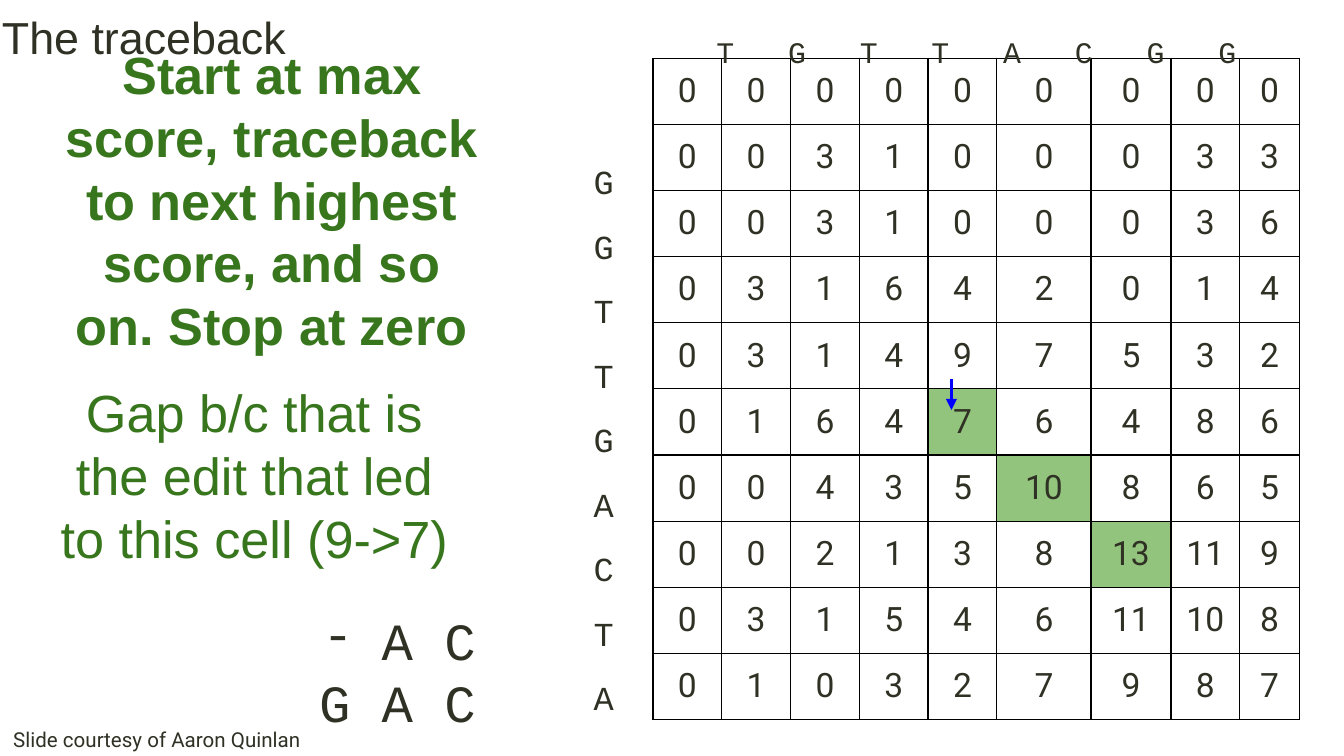
from dataclasses import dataclass
from lxml import etree
from pptx import Presentation
from pptx import util as u
from pptx.dml import color
from pptx.enum import dml, shapes, text
from pptx.oxml import ns


@dataclass
class Theme:
    ink: str = "2F3124"
    green: str = "38761D"
    path_fill: str = "93C47D"
    arrow: str = "0000FF"
    grid: str = "000000"
    sans: str = "Arial"
    mono: str = "Courier New"
    cell: str = "Roboto"
    head: int = 24
    big: int = 28
    mid: int = 18
    base: int = 16
    small: int = 11


def node(parent, tag, **attrs):
    return etree.SubElement(parent, ns.qn("a:" + tag), attrs)


def write(shape, area, lines, font, size, tint, align, pad=0.25, lead=None, bold=False, mid=False):
    shape.left, shape.top, shape.width, shape.height = [u.Cm(n) for n in area]
    frame = shape.text_frame
    frame.word_wrap = True
    frame.auto_size = text.MSO_AUTO_SIZE.NONE
    frame.vertical_anchor = text.MSO_ANCHOR.MIDDLE if mid else text.MSO_ANCHOR.TOP
    frame.margin_left = frame.margin_right = u.Cm(pad)
    frame.margin_top = frame.margin_bottom = u.Cm(min(pad, 0.25))
    for i, line in enumerate(lines):
        para = frame.paragraphs[0] if i == 0 else frame.add_paragraph()
        para.alignment = align
        para.space_before = u.Pt(0)
        if lead:
            para.line_spacing = u.Pt(lead)
        run = para.add_run()
        run.text = line
        run.font.name, run.font.size, run.font.bold = font, u.Pt(size), bold
        run.font.color.rgb = color.RGBColor.from_string(tint)
    return frame


look = Theme()
left, mid, right = text.PP_ALIGN.LEFT, text.PP_ALIGN.CENTER, text.PP_ALIGN.RIGHT
deck = Presentation()
deck.slide_width, deck.slide_height = u.Cm(25.4), u.Cm(14.29)
slide = deck.slides.add_slide(deck.slide_layouts[1])
title, body = slide.placeholders

write(title, (-8.89, -0.44, 23.22, 2.26), ["The traceback"],
      look.sans, look.head, look.ink, mid, pad=0.1, mid=True)

scores = [
    [0, 0, 0, 0, 0, 0, 0, 0, 0],
    [0, 0, 3, 1, 0, 0, 0, 3, 3],
    [0, 0, 3, 1, 0, 0, 0, 3, 6],
    [0, 3, 1, 6, 4, 2, 0, 1, 4],
    [0, 3, 1, 4, 9, 7, 5, 3, 2],
    [0, 1, 6, 4, 7, 6, 4, 8, 6],
    [0, 0, 4, 3, 5, 10, 8, 6, 5],
    [0, 0, 2, 1, 3, 8, 13, 11, 9],
    [0, 3, 1, 5, 4, 6, 11, 10, 8],
    [0, 1, 0, 3, 2, 7, 9, 8, 7],
]
trace = {(5, 4), (6, 5), (7, 6)}
widths = [1.3] * 5 + [1.78, 1.51, 1.3, 1.13]
high = 1.25
table = slide.shapes.add_table(
    len(scores), len(widths), u.Cm(12.34), u.Cm(1.1),
    u.Cm(sum(widths)), u.Cm(high * len(scores))).table
table.first_row = table.horz_banding = False
for col, width in zip(table.columns, widths):
    col.width = u.Cm(width)
for r, row in enumerate(scores):
    table.rows[r].height = u.Cm(high)
    for c, score in enumerate(row):
        cell = table.cell(r, c)
        cell.margin_left = cell.margin_right = u.Cm(0.25)
        cell.margin_top = cell.margin_bottom = u.Cm(0.25)
        para = cell.text_frame.paragraphs[0]
        para.alignment = mid
        run = para.add_run()
        run.text = str(score)
        run.font.name, run.font.size = look.cell, u.Pt(look.mid)
        run.font.color.rgb = color.RGBColor.from_string(look.ink)
        props = cell._tc.get_or_add_tcPr()
        for side in ("lnL", "lnR", "lnT", "lnB"):
            edge = node(props, side, w=str(u.Pt(0.75)))
            node(node(edge, "solidFill"), "srgbClr", val=look.grid)
        if (r, c) in trace:
            cell.fill.solid()
            cell.fill.fore_color.rgb = color.RGBColor.from_string(look.path_fill)
        else:
            cell.fill.background()

boxes = [
    ((12.27, -0.3, 13, 1.14), ["".join("\t" + base for base in "TGTTACGG")],
     look.mono, look.base, look.ink, left, 0.25, 38.4),
    ((10.97, 2.34, 1.02, 9.78), "GGTTGACTA",
     look.mono, look.mid, look.ink, left, 0.25, 34.56),
    ((0.97, 3.2, 8.33, 1.14),
     ["Start at max score, traceback to next highest score, and so on. Stop at zero"],
     look.sans, look.big, look.green, mid, 0.25, 33.6, True, True),
    ((0.64, 8.26, 8.33, 1.42), ["Gap b/c that is the edit that led to this cell (9->7)"],
     look.sans, look.big, look.green, mid, 0.25, 33.6, False, True),
    ((0, 13.61, 12.5, 0.74), ["Slide courtesy of Aaron Quinlan"],
     look.cell, look.small, look.ink, left),
]
frames = [write(slide.shapes.add_textbox(0, 0, 0, 0), *box) for box in boxes]
frames[-1].margin_top = frames[-1].margin_bottom = u.Cm(0.13)
tabs = node(frames[0].paragraphs[0]._p.get_or_add_pPr(), "tabLst")
for i in range(8):
    node(tabs, "tab", pos=str(u.Cm(1.02 + 1.355 * i)), algn="l")

pair = write(body, (1.04, 11.24, 8.2, 1.22), ["A C", "G A C"],
             look.mono, look.big, look.ink, right, lead=33.6)
for para, mark in zip(pair.paragraphs, ("-", None)):
    props = para._p.get_or_add_pPr()
    props.set("marL", str(u.Cm(1.27 if mark else 0)))
    props.set("indent", str(u.Cm(-1.12 if mark else 0)))
    if mark:
        node(node(props, "buClr"), "srgbClr", val=look.ink)
        node(props, "buFont", typeface=look.mono)
        node(props, "buChar", char=mark)
    else:
        node(props, "buNone")

arrow = slide.shapes.add_connector(
    shapes.MSO_CONNECTOR.STRAIGHT, u.Cm(17.98), u.Cm(7.16), u.Cm(17.98), u.Cm(7.75))
arrow.line.color.rgb = color.RGBColor.from_string(look.arrow)
arrow.line.width = u.Pt(1.5)
node(arrow.line._get_or_add_ln(), "tailEnd", type="triangle")
node(arrow._element.spPr, "effectLst")

deck.save("out.pptx")
